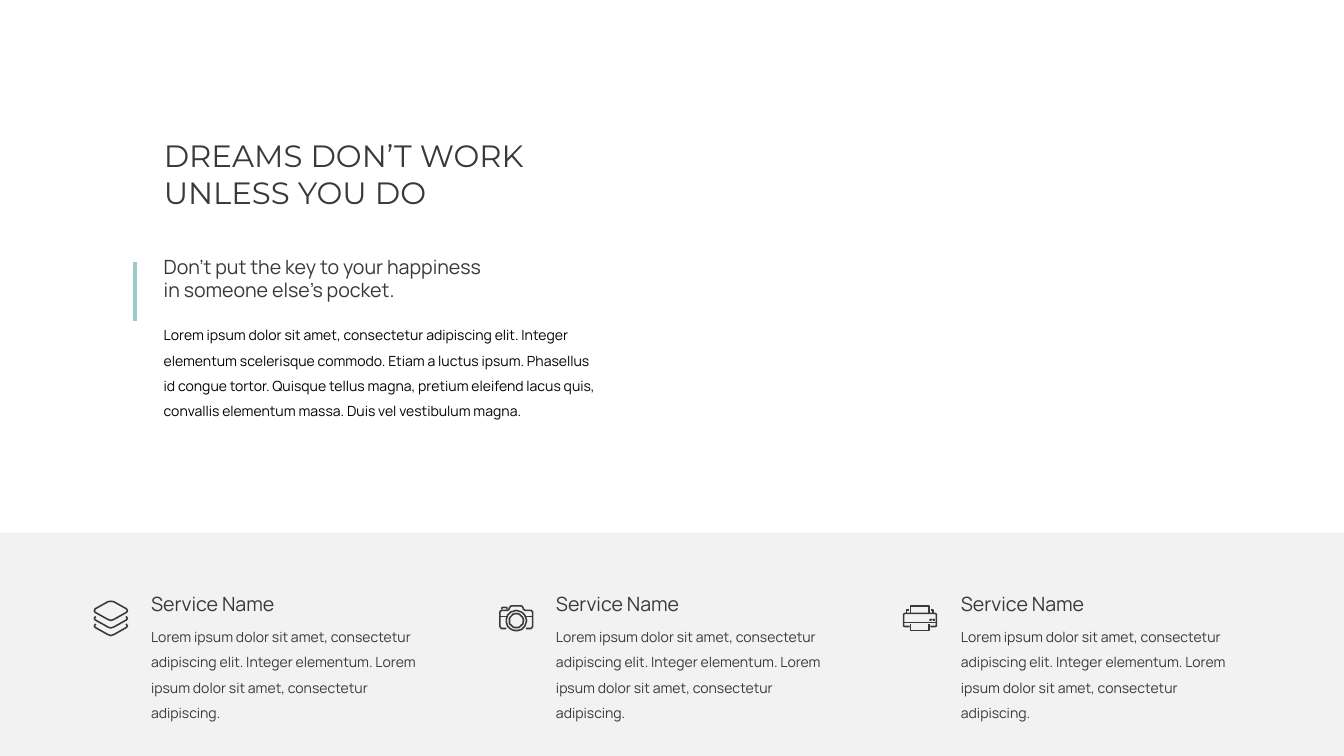
from math import cos, pi, sin

from lxml.etree import SubElement
from pptx import Presentation
from pptx.dml.color import RGBColor
from pptx.enum.shapes import MSO_CONNECTOR, MSO_SHAPE
from pptx.enum.text import MSO_ANCHOR, MSO_AUTO_SIZE, PP_ALIGN
from pptx.oxml.ns import qn
from pptx.util import Inches, Pt

CHARCOAL = RGBColor(0x3B, 0x38, 0x38)
BLACK = RGBColor(0x00, 0x00, 0x00)
MINT = RGBColor(0x9B, 0xCC, 0xC8)
PALE_GRAY = RGBColor(0xF2, 0xF2, 0xF2)
HEADING_FONT = "Montserrat"
BODY_FONT = "Manrope"

INTRO_LEFT = 3.15
SERVICE_LEFT = 2.9
SERVICE_STEP = 8.035
SERVICE_TEXT = (
    "Lorem ipsum dolor sit amet, consectetur adipiscing elit. Integer elementum. "
    "Lorem ipsum dolor sit amet, consectetur adipiscing."
)


def circle(center_x, center_y, radius, steps=36):
    angles = [2 * pi * step / steps for step in range(steps)]
    return [(center_x + radius * cos(a), center_y + radius * sin(a)) for a in angles]


def mirror(points, axis):
    return [(2 * axis - x, y) for x, y in points]


def symmetric(points, axis):
    return points + mirror(points, axis)[::-1]


def layers_icon():
    sheet = symmetric([(34, 39), (28, 37), (3, 23), (1, 20), (3, 16), (28, 2), (34, 1)], 34)
    edge = symmetric([(4, 31), (1, 35), (3, 38), (28, 52), (34, 54)], 34)
    lower_edge = [(x, y + 15) for x, y in edge]
    return [(sheet, True), (edge, False), (lower_edge, False)]


def camera_icon():
    body = symmetric(
        [(14, 46), (4, 46), (1, 42), (1, 13), (4, 10), (16, 10),
         (19, 8), (20, 5), (22, 2), (25, 1)], 33.5)
    band = [(1, 22), (15, 22)]
    viewfinder = [(5, 8), (5, 5), (7, 4), (13, 4), (15, 5), (15, 8)]
    lens = [(circle(33.5, 30.5, radius), True) for radius in (20, 14)]
    return lens + [(line, False) for line in (body, band, mirror(band, 33.5), viewfinder)]


def printer_icon():
    body = symmetric([(13, 42), (3, 42), (1, 41), (1, 18), (3, 16)], 33.5)
    shoulder = [(7, 16), (7, 9), (12, 9)]
    lines = [
        body,
        [(1, 34), (66, 34)],
        symmetric([(15, 37), (15, 50)], 33.5),
        symmetric([(15, 16), (15, 1)], 33.5),
        shoulder,
        mirror(shoulder, 33.5),
    ]
    buttons = [(circle(x, 28.5, 1, 8), True) for x in (54.5, 61)]
    return [(line, False) for line in lines] + buttons


class SlideBuilder:
    def __init__(self, deck):
        self.slide = deck.slides.add_slide(deck.slide_layouts[5])
        self.shapes = self.slide.shapes

    def fill_text(self, box, text, size, color, font, spacing):
        frame = box.text_frame
        frame.text = text
        frame.word_wrap = True
        frame.auto_size = MSO_AUTO_SIZE.SHAPE_TO_FIT_TEXT
        frame.vertical_anchor = MSO_ANCHOR.TOP
        para = frame.paragraphs[0]
        para.alignment = PP_ALIGN.LEFT
        para.line_spacing = spacing
        for span in para.runs:
            span.font.size = Pt(size)
            span.font.name = font
            span.font.color.rgb = color

    def title(self, text, left, top, width, height, size):
        box = self.shapes.title
        box.left, box.top = Inches(left), Inches(top)
        box.width, box.height = Inches(width), Inches(height)
        self.fill_text(box, text, size, CHARCOAL, HEADING_FONT, 1.0)

    def text(self, text, left, top, width, height, size, color=CHARCOAL, spacing=1.0):
        box = self.shapes.add_textbox(Inches(left), Inches(top), Inches(width), Inches(height))
        self.fill_text(box, text, size, color, BODY_FONT, spacing)

    def band(self, left, top, width, height, color):
        band = self.shapes.add_shape(
            MSO_SHAPE.RECTANGLE, Inches(left), Inches(top), Inches(width), Inches(height))
        band.shadow.inherit = False
        band.fill.solid()
        band.fill.fore_color.rgb = color
        band.line.fill.background()

    def vertical_line(self, left, top, bottom, color, weight):
        line = self.shapes.add_connector(
            MSO_CONNECTOR.STRAIGHT, Inches(left), Inches(top), Inches(left), Inches(bottom))
        line.line.color.rgb = color
        line.line.width = Pt(weight)
        SubElement(line.element.spPr, qn("a:effectLst"))

    def icon(self, contours, left, top):
        first_points, _ = contours[0]
        builder = self.shapes.build_freeform(*first_points[0], scale=Inches(0.01))
        for points, closed in contours:
            builder.move_to(*points[0])
            builder.add_line_segments(points[1:], close=closed)
        icon = builder.convert_to_shape(Inches(left), Inches(top))
        icon.shadow.inherit = False
        icon.fill.background()
        icon.line.color.rgb = CHARCOAL
        icon.line.width = Pt(2.25)


def main():
    deck = Presentation()
    deck.slide_width, deck.slide_height = Inches(26.67), Inches(15)
    page = SlideBuilder(deck)

    page.title("DREAMS DON’T WORK UNLESS YOU DO", INTRO_LEFT, 2.67, 7.76, 1.58, 44)
    page.text(
        "Lorem ipsum dolor sit amet, consectetur adipiscing elit. Integer elementum "
        "scelerisque commodo. Etiam a luctus ipsum. Phasellus id congue tortor. Quisque "
        "tellus magna, pretium eleifend lacus quis, convallis elementum massa. Duis vel "
        "vestibulum magna.",
        INTRO_LEFT, 6.27, 8.78, 2.12, 20, BLACK, 1.5)
    page.text(
        "Don’t put the key to your happiness in someone else’s pocket.",
        INTRO_LEFT, 5, 6.78, 1.04, 28)
    page.vertical_line(2.68, 5.2, 6.37, MINT, 6)

    page.band(0, 10.57, 26.67, 4.43, PALE_GRAY)
    icons = [
        (layers_icon(), 1.86, 11.92),
        (camera_icon(), 9.91, 12.01),
        (printer_icon(), 17.92, 12.01),
    ]
    for index, (contours, icon_left, icon_top) in enumerate(icons):
        left = SERVICE_LEFT + index * SERVICE_STEP
        page.icon(contours, icon_left, icon_top)
        page.text("Service Name", left, 11.69, 3.6, 0.57, 28)
        page.text(SERVICE_TEXT, left, 12.26, 5.84, 1.62, 20, spacing=1.5)

    deck.save("out.pptx")


if __name__ == "__main__":
    main()
